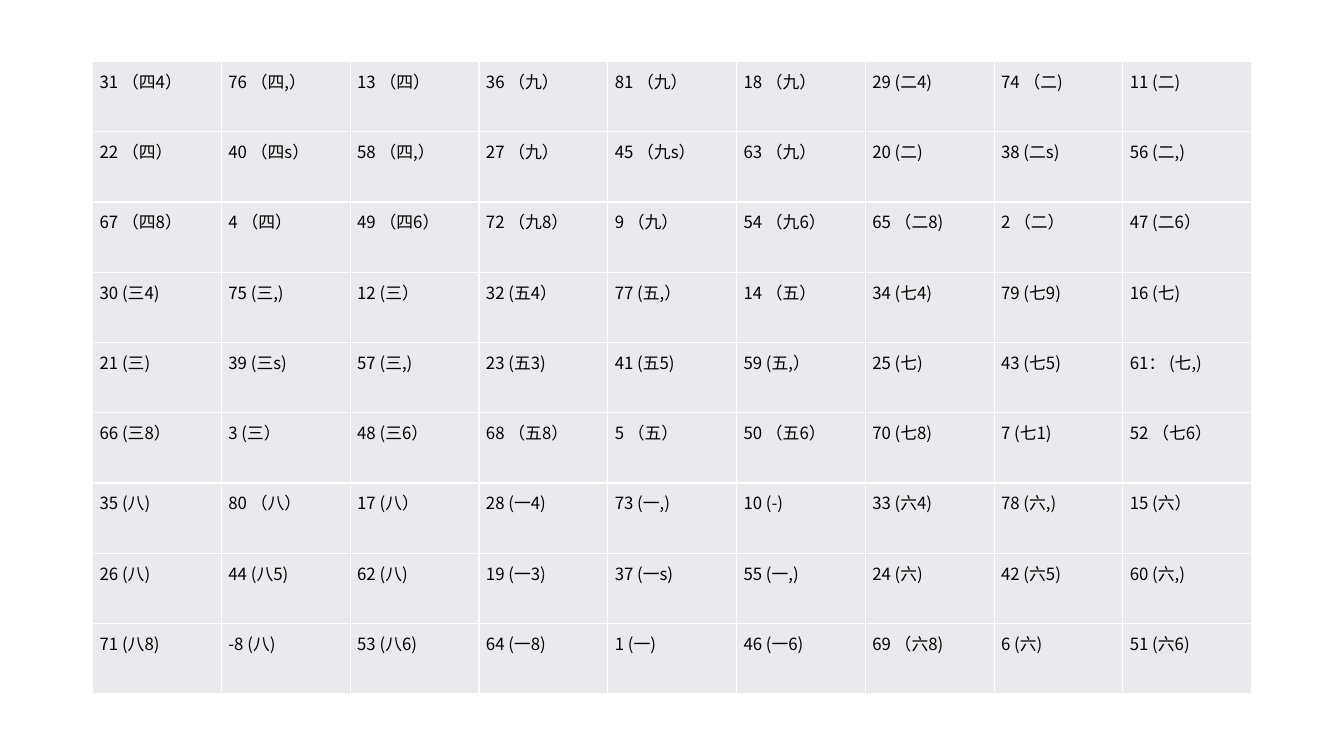
from lxml.etree import SubElement
from pptx import Presentation
from pptx.dml.color import RGBColor
from pptx.oxml.ns import qn
from pptx.util import Pt

FONT = "Noto Sans CJK SC"
BLACK = RGBColor(0x00, 0x00, 0x00)
WHITE = RGBColor(0xFF, 0xFF, 0xFF)
PALE_GREY = RGBColor(0xE8, 0xEA, 0xED)

NUMBER_ROWS = [
    "31 （四4）|76 （四,）|13 （四）|36 （九）|81 （九）|18 （九）|29 (二4)|74 （二)|11 (二)",
    "22 （四）|40 （四s）|58 （四,）|27 （九）|45 （九s）|63 （九）|20 (二)|38 (二s)|56 (二,)",
    "67 （四8）|4 （四）|49 （四6）|72 （九8）|9 （九）|54 （九6）|65 （二8)|2 （二）|47 (二6）",
    "30 (三4)|75 (三,)|12 (三）|32 (五4）|77 (五,）|14 （五）|34 (七4)|79 (七9)|16 (七)",
    "21 (三)|39 (三s)|57 (三,)|23 (五3)|41 (五5)|59 (五,）|25 (七)|43 (七5)|61： (七,)",
    "66 (三8）|3 (三）|48 (三6）|68 （五8）|5 （五）|50 （五6）|70 (七8)|7 (七1)|52 （七6）",
    "35 (八)|80 （八）|17 (八）|28 (一4)|73 (一,)|10 (-)|33 (六4)|78 (六,)|15 (六）",
    "26 (八)|44 (八5)|62 (八)|19 (一3)|37 (一s)|55 (一,)|24 (六)|42 (六5)|60 (六,)",
    "71 (八8)|-8 (八)|53 (八6)|64 (一8)|1 (一)|46 (一6)|69 （六8)|6 (六)|51 (六6)",
]


def add_borders(cell, color, width):
    properties = cell._tc.get_or_add_tcPr()
    for side in ("a:lnL", "a:lnR", "a:lnT", "a:lnB"):
        line = SubElement(properties, qn(side), w=str(Pt(width)))
        fill = SubElement(line, qn("a:solidFill"))
        SubElement(fill, qn("a:srgbClr"), val=str(color))


def fill_cell(cell, text):
    add_borders(cell, WHITE, 1)
    cell.fill.solid()
    cell.fill.fore_color.rgb = PALE_GREY
    cell.margin_left = cell.margin_right = Pt(5)
    cell.margin_top = cell.margin_bottom = Pt(0)
    paragraph = cell.text_frame.paragraphs[0]
    paragraph.line_spacing = 1.3
    paragraph.space_before = Pt(0)
    paragraph.space_after = Pt(1.8)
    run = paragraph.add_run()
    run.text = text
    run.font.size = Pt(12)
    run.font.name = FONT
    run.font.color.rgb = BLACK
    SubElement(run.font._element, qn("a:ea"), typeface=FONT)


def add_number_grid(slide, left, top, width, height):
    rows = [row.split("|") for row in NUMBER_ROWS]
    row_count, column_count = len(rows), len(rows[0])
    table = slide.shapes.add_table(
        row_count, column_count, Pt(left), Pt(top), Pt(width), Pt(height)
    ).table
    table.first_row = False
    table.horz_banding = False
    for column in table.columns:
        column.width = Pt(width / column_count)
    for table_row, texts in zip(table.rows, rows):
        table_row.height = Pt(height / row_count)
        for cell, text in zip(table_row.cells, texts):
            fill_cell(cell, text)


def main():
    presentation = Presentation()
    presentation.slide_width = Pt(960)
    presentation.slide_height = Pt(540)
    slide = presentation.slides.add_slide(presentation.slide_layouts[6])
    add_number_grid(slide, left=66.2, top=44, width=828, height=451.8)
    presentation.save("out.pptx")


if __name__ == "__main__":
    main()
